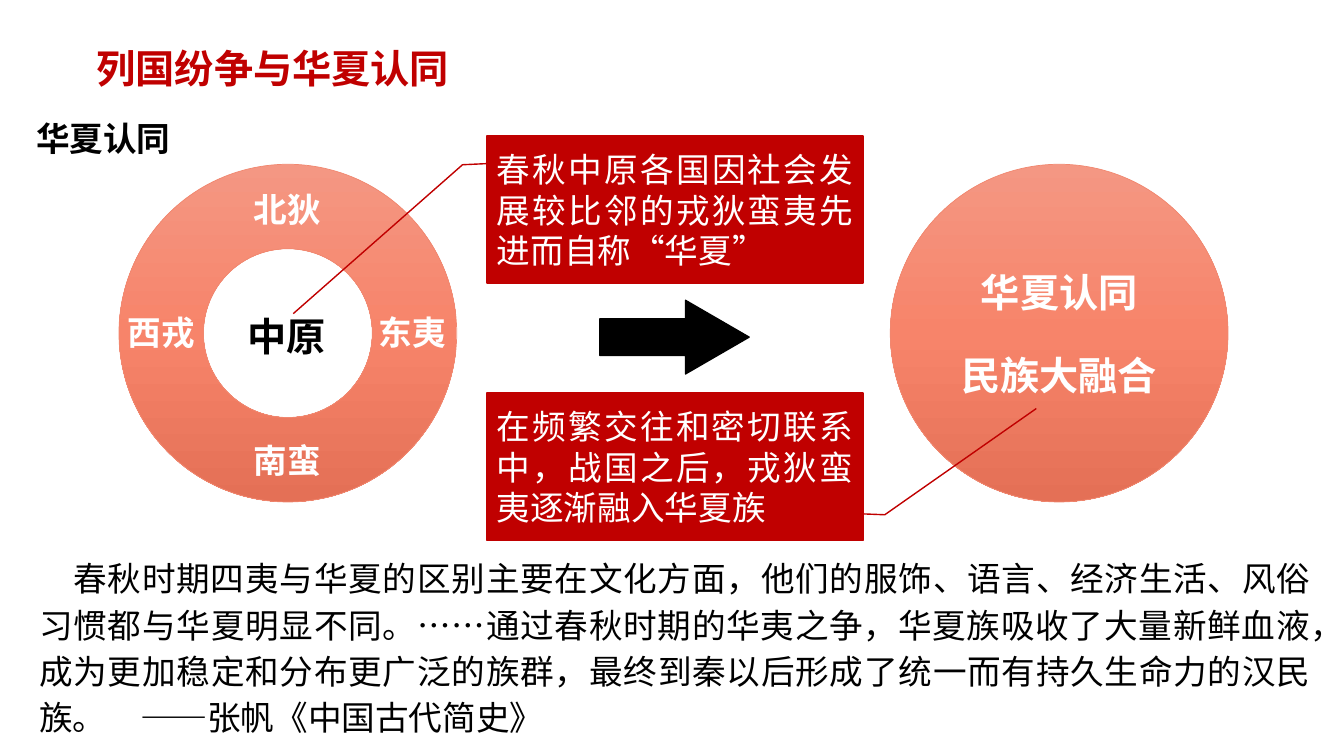
from copy import deepcopy

from pptx import Presentation
from pptx.dml.color import RGBColor as RGB
from pptx.enum.shapes import MSO_SHAPE as SHAPE
from pptx.enum.text import MSO_ANCHOR as ANCHOR, MSO_AUTO_SIZE as AUTO, PP_ALIGN as ALIGN
from pptx.oxml.ns import qn
from pptx.util import Emu, Pt

PX = 9144  # one px is a hundredth of an inch
FONT = "Noto Sans CJK SC"
COLORS = {"red": "C00000", "black": "000000", "white": "FFFFFF", "edge": "F18870"}
CORAL = [(0, "F49783"), (0.5, "F7846A"), (1, "E47056")]


def rgb(name):
    return RGB.from_string(COLORS.get(name, name))


class Slide:
    def __init__(self, prs):
        self.shapes = prs.slides.add_slide(prs.slide_layouts[6]).shapes

    def letter(self, frame, lines, size, color="white", bold=False, align=None,
               gap=0, spacing=None, latin=FONT):
        """Set one paragraph per line, with gap points between them."""
        for i, line in enumerate(lines):
            para = frame.add_paragraph() if i else frame.paragraphs[0]
            para.alignment = align
            if spacing:
                para.line_spacing = spacing
            if i:
                para.space_before = Pt(gap)
            run = para.add_run()
            run.text = line
            font = run.font
            font.name, font.size, font.bold = latin, Pt(size), bold
            font.color.rgb = rgb(color)
            props = run._r.get_or_add_rPr()
            east = props.makeelement(qn("a:ea"), {"typeface": FONT})
            props.find(qn("a:latin")).addnext(east)

    def text(self, box, line, size, wrap=True, **style):
        frame = self.shapes.add_textbox(*(Emu(n * PX) for n in box)).text_frame
        frame.word_wrap = wrap
        frame.auto_size = AUTO.SHAPE_TO_FIT_TEXT
        self.letter(frame, [line], size, **style)
        return frame.paragraphs[0]

    def shape(self, kind, box, fill, line, width=1, adjust=()):
        shape = self.shapes.add_shape(kind, *(Emu(n * PX) for n in box))
        shape.shadow.inherit = False
        for i, value in enumerate(adjust):
            shape.adjustments[i] = value
        if isinstance(fill, list):
            self.blend(shape.fill, fill)
        else:
            shape.fill.solid()
            shape.fill.fore_color.rgb = rgb(fill)
        shape.line.color.rgb = rgb(line)
        shape.line.width = Pt(width)
        shape.text_frame.word_wrap = True
        shape.text_frame.vertical_anchor = ANCHOR.MIDDLE
        return shape

    def blend(self, fill, stops):
        """Fill from top to bottom through the given stops."""
        fill.gradient()
        fill.gradient_angle = 270
        last = fill.gradient_stops[1]._gs
        last.addnext(deepcopy(last))
        for stop, (place, color) in zip(fill.gradient_stops, stops):
            stop.position = place
            stop.color.rgb = rgb(color)

    def disc(self, kind, left):
        return self.shape(kind, (left, 163, 335, 335), CORAL, "edge", 0.5)

    def callout(self, top, line, adjust, flip=False):
        shape = self.shape(SHAPE.LINE_CALLOUT_2, (483, top, 373, 146), "red", "red",
                           adjust=adjust)
        if flip:
            shape._element.spPr.find(qn("a:xfrm")).set("flipH", "1")
        self.letter(shape.text_frame, [line], 24, align=ALIGN.JUSTIFY)

    def quote(self, box, line, indent, tab):
        para = self.text(box, line, 24, color="black", align=ALIGN.JUSTIFY, spacing=1.15)
        props = para._p.get_or_add_pPr()
        props.set("marL", "0")
        props.set("indent", str(indent * PX))
        tabs = props.makeelement(qn("a:tabLst"), {})
        tabs.append(tabs.makeelement(qn("a:tab"), {"pos": str(tab * PX), "algn": "l"}))
        props.append(tabs)


def main():
    prs = Presentation()
    prs.slide_width, prs.slide_height = Emu(1333 * PX), Emu(750 * PX)
    slide = Slide(prs)

    slide.text((86, 34, 371, 62), "列国纷争与华夏认同", 28, wrap=False,
               color="red", bold=True, spacing=1.1)
    slide.text((26, 102, 341, 60), "华夏认同", 24, color="black", bold=True, spacing=1.25)

    slide.disc(SHAPE.DONUT, 118)
    slide.text((229, 305, 111, 58), "中原", 28, color="black", bold=True,
               align=ALIGN.CENTER)
    for name, left, top in [("南蛮", 237, 432), ("北狄", 237, 183),
                            ("西戎", 112, 305), ("东夷", 361, 305)]:
        slide.text((left, top, 96, 50), name, 24, bold=True, align=ALIGN.CENTER)

    slide.callout(135, "春秋中原各国因社会发展较比邻的戎狄蛮夷先进而自称“华夏”",
                  (0.187, 0.004, 0.195, -0.065, 1.207, -0.515))
    union = slide.disc(SHAPE.OVAL, 883)
    slide.letter(union.text_frame, ["华夏认同", "民族大融合"], 28, bold=True,
                 align=ALIGN.CENTER, gap=26, latin="Arial")
    slide.callout(390, "在频繁交往和密切联系中，战国之后，戎狄蛮夷逐渐融入华夏族",
                  (0.821, 0.001, 0.827, -0.058, 0.105, -0.461), flip=True)
    slide.shape(SHAPE.RIGHT_ARROW, (595, 298, 148, 73), "black", "black",
                adjust=(0.5, 0.864))

    slide.quote((29, 543, 1281, 198),
                "春秋时期四夷与华夏的区别主要在文化方面，他们的服饰、语言、经济生活、"
                "风俗习惯都与华夏明显不同。……通过春秋时期的华夷之争，华夏族吸收了大量"
                "新鲜血液，成为更加稳定和分布更广泛的族群，最终到秦以后形成了统一而有"
                "持久生命力的汉民族。\t——张帆《中国古代简史》", indent=34, tab=396)
    prs.save("out.pptx")


if __name__ == "__main__":
    main()
